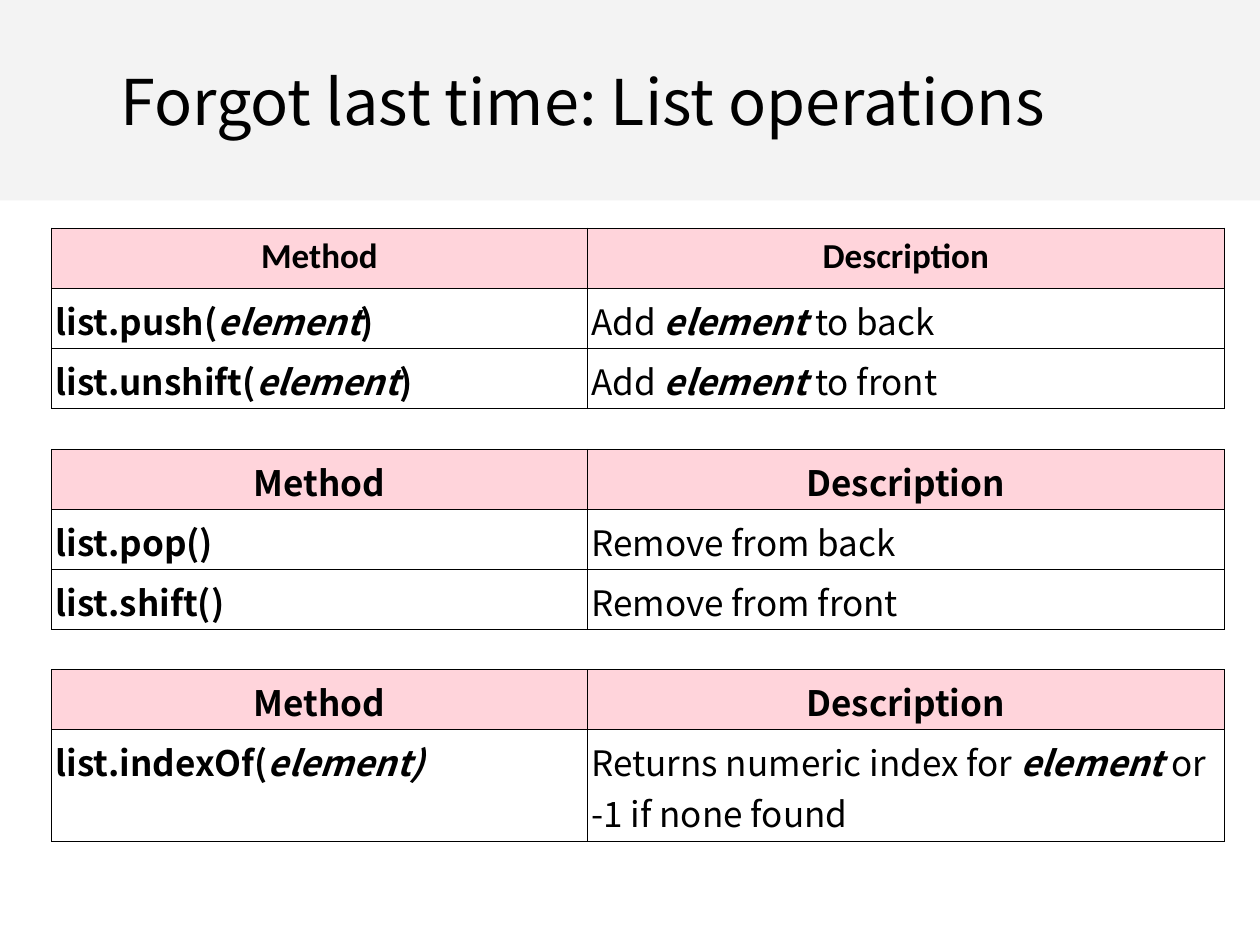
from lxml.etree import SubElement
from pptx import Presentation
from pptx.dml.color import RGBColor
from pptx.enum.shapes import MSO_SHAPE as Shape
from pptx.enum.text import MSO_ANCHOR as Anchor, PP_ALIGN as Align
from pptx.oxml.ns import qn
from pptx.util import Cm, Pt

SANS, HEADER_FONT = "Noto Sans CJK SC", "Calibri"
BLACK, BAND, PINK = "000000", "F3F3F3", "FFC2CC"

TITLE = "Forgot last time: List operations"
HEADERS = ("Method", "Description")
ELEMENT = ("element", "bi")

# Each cell is a list of (text, style) runs; style holds b for bold, i for italic.
TABLES = [
    {"top": 4.6, "header_font": HEADER_FONT, "heights": (1.21, 1.21, 1.21), "rows": [
        ([("list.push(", "b"), ELEMENT, (")", "b")],
         [("Add ", ""), ELEMENT, (" to back", "")]),
        ([("list.unshift(", "b"), ELEMENT, (")", "b")],
         [("Add ", ""), ELEMENT, (" to front", "")]),
    ]},
    {"top": 9.06, "header_font": SANS, "heights": (1.21, 1.21, 1.21), "rows": [
        ([("list.pop()", "b")], [("Remove from back", "")]),
        ([("list.shift()", "b")], [("Remove from front", "")]),
    ]},
    {"top": 13.5, "header_font": SANS, "heights": (1.21, 2.25), "rows": [
        ([("list.indexOf(", "b"), ("element)", "bi")],
         [("Returns numeric index for ", ""), ELEMENT, (" or -1 if none found", "")]),
    ]},
]
TABLE_LEFT = 1.04
COLUMN_WIDTHS = (10.8, 12.84)


def color(hex_value):
    return RGBColor.from_string(hex_value)


def add_run(paragraph, text, size, font=SANS, style=""):
    run = paragraph.add_run()
    run.text = text
    run.font.size = Pt(size)
    run.font.name = font
    run.font.bold = "b" in style
    run.font.italic = "i" in style
    run.font.color.rgb = color(BLACK)


def add_borders(cell):
    """Put the four border lines ahead of the cell's fill, as the schema asks."""
    properties = cell._tc.get_or_add_tcPr()
    for position, side in enumerate(("lnL", "lnR", "lnT", "lnB")):
        line = SubElement(properties, qn(f"a:{side}"), w=str(Pt(0.75)))
        fill = SubElement(line, qn("a:solidFill"))
        SubElement(fill, qn("a:srgbClr"), val=BLACK)
        properties.insert(position, line)


def fill_header(cell):
    cell.fill.solid()
    cell.fill.fore_color.rgb = color(PINK)
    pink = cell._tc.tcPr.find(".//" + qn("a:srgbClr"))
    SubElement(pink, qn("a:alpha"), val="70000")


def add_method_table(slide, top, header_font, heights, rows):
    header = [[(name, "b")] for name in HEADERS]
    table = slide.shapes.add_table(
        len(heights), len(COLUMN_WIDTHS), Cm(TABLE_LEFT), Cm(top),
        Cm(sum(COLUMN_WIDTHS)), Cm(sum(heights))).table
    table.first_row = table.horz_banding = False
    for column, width in zip(table.columns, COLUMN_WIDTHS):
        column.width = Cm(width)
    for r, (height, contents) in enumerate(zip(heights, [header, *rows])):
        table.rows[r].height = Cm(height)
        for c, runs in enumerate(contents):
            cell = table.cell(r, c)
            cell.margin_left = cell.margin_right = Cm(0.08)
            cell.margin_top = cell.margin_bottom = Cm(0.13)
            paragraph = cell.text_frame.paragraphs[0]
            paragraph.alignment = Align.LEFT if r else Align.CENTER
            for text, style in runs:
                add_run(paragraph, text, 20, SANS if r else header_font, style)
            if r:
                cell.fill.background()
            else:
                fill_header(cell)
            add_borders(cell)


def main():
    deck = Presentation()
    deck.slide_width, deck.slide_height = Cm(25.4), Cm(19.05)
    slide = deck.slides.add_slide(deck.slide_layouts[6])

    band = slide.shapes.add_shape(Shape.RECTANGLE, 0, 0, deck.slide_width, Cm(4.04))
    band.shadow.inherit = False
    band.fill.solid()
    band.fill.fore_color.rgb = color(BAND)
    band.line.fill.background()

    title = slide.shapes.add_textbox(Cm(2.18), Cm(0.97), Cm(21.06), Cm(2.11)).text_frame
    title.word_wrap = True
    title.vertical_anchor = Anchor.MIDDLE
    title.margin_left = title.margin_right = Cm(0.25)
    title.margin_top = title.margin_bottom = Cm(0.25)
    add_run(title.paragraphs[0], TITLE, 36)

    for table in TABLES:
        add_method_table(slide, **table)

    deck.save("out.pptx")


if __name__ == "__main__":
    main()
